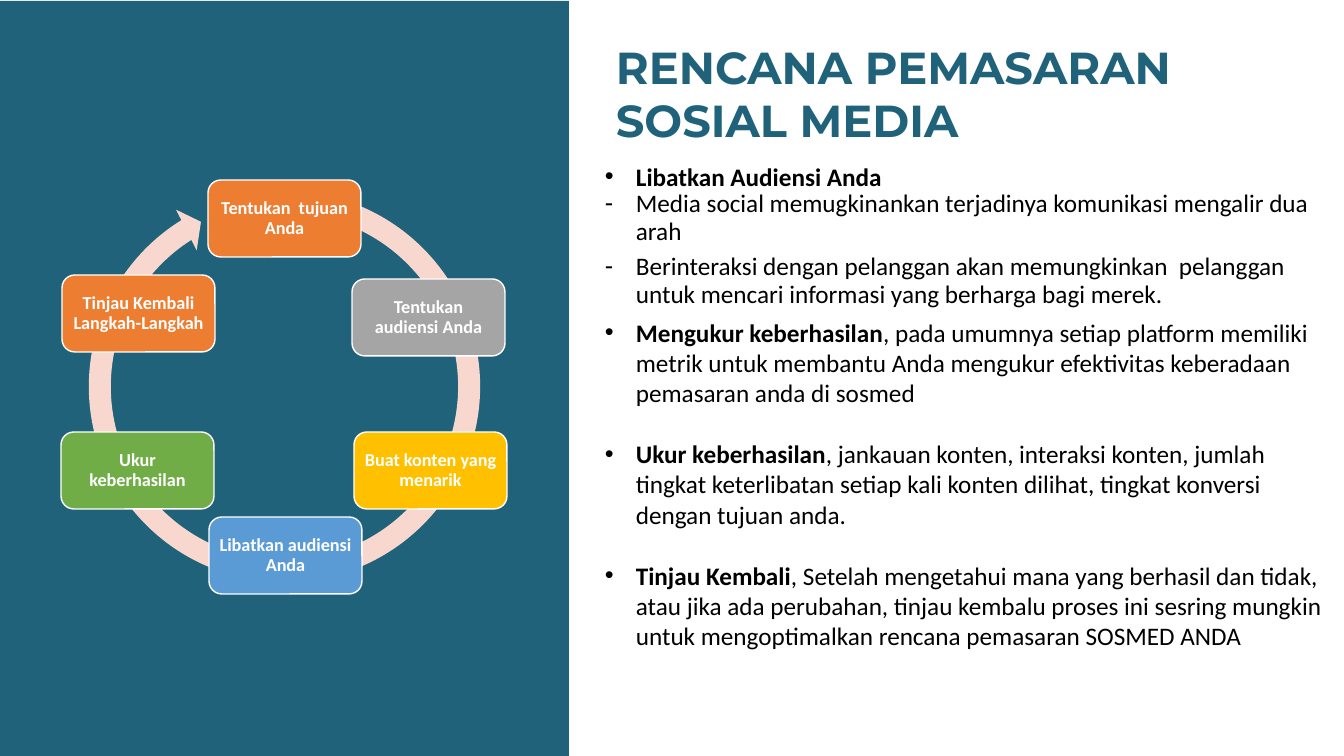
"""Build the social media marketing plan slide with its six-step cycle."""
from dataclasses import dataclass

from lxml.etree import SubElement
from pptx import Presentation
from pptx.dml.color import RGBColor
from pptx.enum.shapes import MSO_SHAPE as Shape
from pptx.enum.text import MSO_ANCHOR as Anchor, PP_ALIGN as Align
from pptx.oxml.ns import qn
from pptx.util import Emu, Pt

TITLE = "RENCANA PEMASARAN SOSIAL MEDIA"
STEPS = [
    ("Tentukan  tujuan Anda", (208, 180), "ED7D31"),
    ("Tentukan audiensi Anda", (352, 279), "A5A5A5"),
    ("Buat konten yang menarik", (354, 432), "FFC000"),
    ("Libatkan audiensi Anda", (209, 517), "5B9BD5"),
    ("Ukur keberhasilan", (61, 432), "70AD47"),
    ("Tinjau Kembali Langkah-Langkah", (62, 275), "ED7D31"),
]
POINTS = [
    ("•", "Libatkan Audiensi Anda", "", {}),
    ("-", "", "Media social memugkinankan terjadinya komunikasi mengalir dua arah",
     {"spacing": 0.9, "after": 6}),
    ("-", "", "Berinteraksi dengan pelanggan akan memungkinkan  pelanggan untuk "
     "mencari informasi yang berharga bagi merek.", {"spacing": 0.9, "after": 6}),
    ("•", "Mengukur keberhasilan", ", pada umumnya setiap platform memiliki metrik "
     "untuk membantu Anda mengukur efektivitas keberadaan pemasaran anda di sosmed", {}),
    ("•", "Ukur keberhasilan", ", jankauan konten, interaksi konten, jumlah tingkat "
     "keterlibatan setiap kali konten dilihat, tingkat konversi dengan tujuan anda.",
     {"before": 22}),
    ("•", "Tinjau Kembali", ", Setelah mengetahui mana yang berhasil dan tidak, atau "
     "jika ada perubahan, tinjau kembalu proses ini sesring mungkin untuk "
     "mengoptimalkan rencana pemasaran SOSMED ANDA", {"before": 22}),
]
STEP_SIZE = (153, 77)
RING_ADJUSTMENTS = (0.053, 3.126, 142.747, 170.998, 0.055)
HANG = 31
SCALE = 914400 / 100.8


@dataclass(frozen=True)
class Theme:
    teal: str = "20627A"
    ring: str = "F8D7CE"
    white: str = "FFFFFF"
    black: str = "000000"
    heading_font: str = "Montserrat"
    body_font: str = "Calibri"
    title_size: int = 32
    body_size: int = 18
    step_size: int = 13


THEME = Theme()


def px(length):
    return Emu(round(length * SCALE))


def add_filled(page, kind, frame, fill, line=None):
    shape = page.shapes.add_shape(kind, *map(px, frame))
    shape.shadow.inherit = False
    shape.fill.solid()
    shape.fill.fore_color.rgb = RGBColor.from_string(fill)
    if line:
        shape.line.color.rgb = RGBColor.from_string(line)
        shape.line.width = Pt(1)
    else:
        shape.line.fill.background()
    return shape


def write(para, text, *, size, color, font=THEME.body_font, bold=False, align=Align.LEFT,
          spacing=None, before=None, after=None, bullet=None):
    if bullet and not para.runs:
        props = para._p.get_or_add_pPr()
        props.set("marL", str(px(HANG)))
        props.set("indent", str(-px(HANG)))
        SubElement(props, qn("a:buFont"), typeface="Arial")
        SubElement(props, qn("a:buChar"), char=bullet)
    para.alignment = align
    if spacing:
        para.line_spacing = spacing
    if before:
        para.space_before = Pt(before)
    if after:
        para.space_after = Pt(after)
    span = para.add_run()
    span.text = text
    span.font.name = font
    span.font.size = Pt(size)
    span.font.bold = bold
    span.font.color.rgb = RGBColor.from_string(color)


def add_title(page):
    frame = page.shapes.add_textbox(*map(px, (606, 30, 711, 126))).text_frame
    frame.word_wrap = True
    frame.vertical_anchor = Anchor.MIDDLE
    write(frame.paragraphs[0], TITLE, size=THEME.title_size, color=THEME.teal,
          font=THEME.heading_font, bold=True)


def add_cycle(page):
    ring = add_filled(page, Shape.CIRCULAR_ARROW, (77, 179, 415, 415), THEME.ring)
    for index, value in enumerate(RING_ADJUSTMENTS):
        ring.adjustments[index] = value
    for label, corner, fill in STEPS:
        box = add_filled(page, Shape.ROUNDED_RECTANGLE, corner + STEP_SIZE, fill, THEME.white)
        frame = box.text_frame
        frame.word_wrap = True
        frame.vertical_anchor = Anchor.MIDDLE
        frame.margin_left = frame.margin_right = px(5)
        frame.margin_top = frame.margin_bottom = px(5)
        write(frame.paragraphs[0], label, size=THEME.step_size, color=THEME.white, bold=True,
              align=Align.CENTER, spacing=0.9, after=4.5)


def add_points(page):
    frame = page.shapes.add_textbox(*map(px, (595, 156, 738, 569))).text_frame
    frame.word_wrap = True
    for index, (bullet, lead, rest, gaps) in enumerate(POINTS):
        para = frame.add_paragraph() if index else frame.paragraphs[0]
        for text, bold in ((lead, True), (rest, False)):
            if text:
                write(para, text, size=THEME.body_size, color=THEME.black, bold=bold,
                      bullet=bullet, **gaps)


def main():
    deck = Presentation()
    deck.slide_width, deck.slide_height = px(1344), px(756)
    page = deck.slides.add_slide(deck.slide_layouts[6])
    add_filled(page, Shape.RECTANGLE, (0, 1, 569, 755), THEME.teal)
    add_title(page)
    add_cycle(page)
    add_points(page)
    deck.save("out.pptx")


if __name__ == "__main__":
    main()
